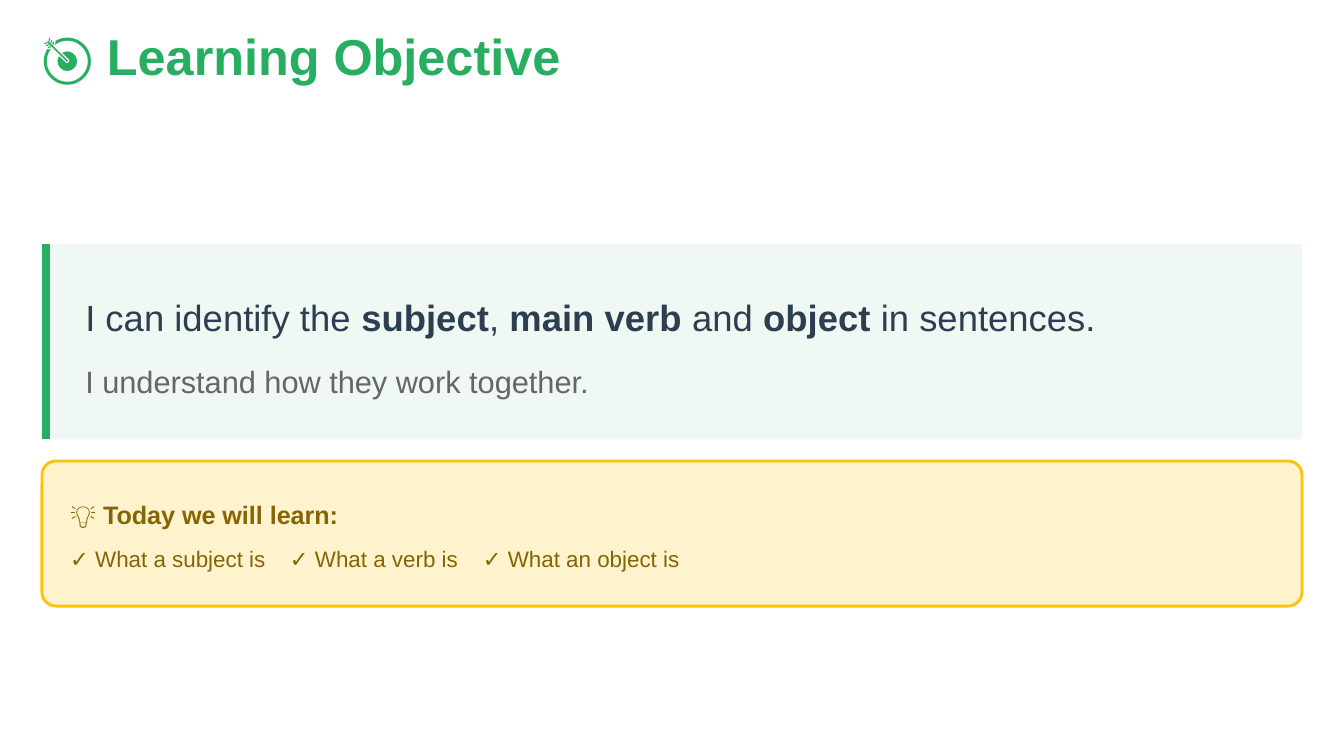
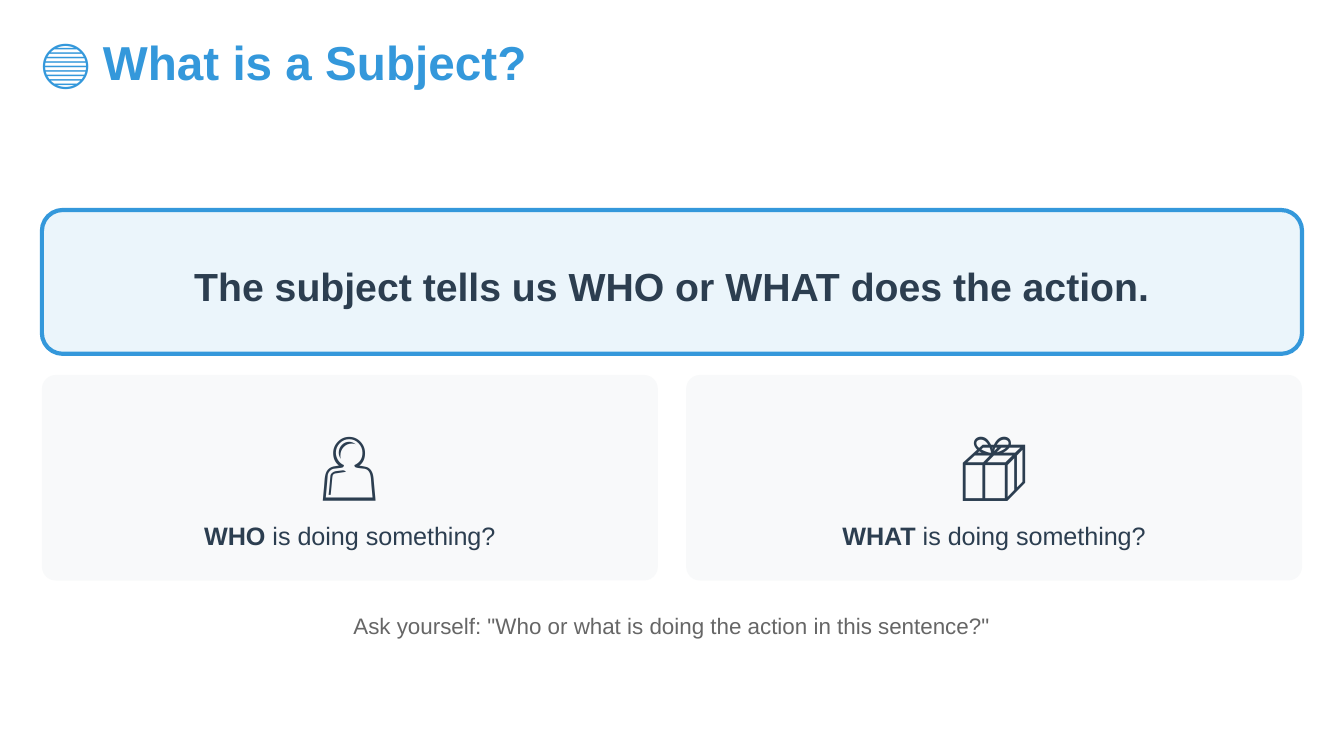
from dataclasses import dataclass

from lxml import etree
from pptx import Presentation
from pptx import util as u
from pptx.dml.color import RGBColor
from pptx.enum import shapes, text
from pptx.oxml.ns import qn

SLIDE_WIDTH = u.Inches(10)
SLIDE_HEIGHT = SLIDE_WIDTH * 9 // 16
COLUMNS = 100
UNIT = SLIDE_WIDTH / COLUMNS
MARGIN = 3.12
GUTTER = 2.1
CONTENT_WIDTH = COLUMNS - 2 * MARGIN
FONT = "Arial"
GREEN, BLUE, AMBER = "27AE60", "3498DB", "FFC107"
INK, GREY, BROWN = "2C3E50", "666666", "856404"
MINT, SKY, CREAM, MIST = "F0F8F4", "EBF5FB", "FFF3CD", "F8F9FA"
LEFT, CENTER = text.PP_ALIGN.LEFT, text.PP_ALIGN.CENTER


@dataclass
class Box:
    left: float
    top: float
    width: float
    height: float

    def inside(self, left, top, width, height):
        return Box(self.left + left, self.top + top, width, height)

    def inset(self, side, top, height):
        return self.inside(side, top, self.width - 2 * side, height)

    def emu(self):
        return [grid(value) for value in (self.left, self.top, self.width, self.height)]


def grid(value):
    return u.Emu(round(value * UNIT))


def color(value):
    return RGBColor.from_string(value)


def write(shape, words, size, ink, leading, before=3, after=3, align=LEFT, bold=False):
    frame = shape.text_frame
    frame.word_wrap = True
    frame.auto_size = text.MSO_AUTO_SIZE.NONE
    frame.vertical_anchor = text.MSO_ANCHOR.TOP
    frame.margin_left = frame.margin_top = frame.margin_right = frame.margin_bottom = 0
    paragraph = frame.paragraphs[0]
    paragraph.alignment = align
    paragraph.line_spacing = u.Pt(leading)
    paragraph.space_before, paragraph.space_after = u.Pt(before), u.Pt(after)
    paragraph.font.name = FONT
    paragraph.font.size = u.Pt(size)
    paragraph.font.color.rgb = color(ink)
    for index, part in enumerate(words.split("*")):
        if part:
            run = paragraph.add_run()
            run.text = part
            run.font.bold = bold or index % 2 == 1
    return paragraph


def add_text(slide, box, *args, **options):
    return write(slide.shapes.add_textbox(*box.emu()), *args, **options)


def add_title(slide, box, words, size, ink, after):
    title = slide.shapes.title
    title.left, title.top, title.width, title.height = box.emu()
    write(title, words, size, ink, size, before=0, after=after, bold=True)


def add_panel(slide, box, fill, radius=0, line=None, weight=0):
    kinds = shapes.MSO_SHAPE
    kind = kinds.ROUNDED_RECTANGLE if radius else kinds.RECTANGLE
    panel = slide.shapes.add_shape(kind, *box.emu())
    panel.shadow.inherit = False
    panel.fill.solid()
    panel.fill.fore_color.rgb = color(fill)
    if radius:
        panel.adjustments[0] = radius / box.height
    if line:
        panel.line.color.rgb = color(line)
        panel.line.width = u.Pt(weight)
    else:
        panel.line.fill.background()


def add_accent(slide, box, ink, weight):
    x = grid(box.left + 0.31)
    accent = slide.shapes.add_connector(
        shapes.MSO_CONNECTOR.STRAIGHT, x, grid(box.top), x, grid(box.top + box.height))
    accent.line.color.rgb = color(ink)
    accent.line.width = u.Pt(weight)
    etree.SubElement(accent.element.spPr, qn("a:effectLst"))


def add_tab_stops(paragraph, *stops):
    properties = paragraph.font._element.getparent()
    tabs = etree.Element(qn("a:tabLst"))
    for stop in stops:
        etree.SubElement(tabs, qn("a:tab"), pos=str(grid(stop)), algn="l")
    properties.find(qn("a:defRPr")).addprevious(tabs)


def add_objective(slide, box):
    add_panel(slide, box, MINT)
    add_accent(slide, box, GREEN, 4.5)
    width = box.width - 4.1
    add_text(slide, box.inside(3.23, 3, width, 4.1),
             "I can identify the *subject*, *main verb* and *object* in sentences.",
             19.5, INK, 29.2)
    add_text(slide, box.inside(3.23, 8.36, width, 3.2),
             "I understand how they work together.", 16.5, GREY, 23.1, before=9)


def add_lesson_goals(slide, box):
    add_panel(slide, box, CREAM, 1.05, AMBER, 1.5)
    width = box.width - 2.4
    add_text(slide, box.inside(2.1, 2.5, width, 2.6),
             "💡 Today we will learn:", 13.5, BROWN, 18.9, bold=True)
    goals = ["✓ What a subject is", "✓ What a verb is", "✓ What an object is"]
    paragraph = add_text(slide, box.inside(2.1, 5.95, width, 2.3),
                         "\t".join(goals), 12, BROWN, 16.8, before=6)
    add_tab_stops(paragraph, 16.35, 30.7)


def add_definition(slide, box):
    add_panel(slide, box, SKY, 1.55, BLUE, 2.25)
    add_text(slide, box.inset(2.05, 3.3, 4.1),
             "The subject tells us WHO or WHAT does the action.",
             21, INK, 29.4, align=CENTER, bold=True)


def add_question_card(slide, box, icon, question):
    add_panel(slide, box, MIST, 1.04)
    add_text(slide, box.inset(1.5, 2.3, 7.3), icon, 37.5, INK, 52.5,
             after=6, align=CENTER)
    add_text(slide, box.inset(1.5, 10.45, 2.6), question, 13.5, INK, 18.9, align=CENTER)


def build_objective_slide(slide):
    add_title(slide, Box(MARGIN, 2.6, 47.9, 3.8), "🎯 Learning Objective", 27, GREEN, 11.2)
    add_objective(slide, Box(MARGIN, 18.15, CONTENT_WIDTH, 14.55))
    add_lesson_goals(slide, Box(MARGIN, 34.3, CONTENT_WIDTH, 10.8))


def build_subject_slide(slide):
    add_title(slide, Box(MARGIN, 3.14, 47.9, 3.5), "🔵 What is a Subject?", 25.5, BLUE, 15)
    add_definition(slide, Box(MARGIN, 15.63, CONTENT_WIDTH, 10.7))
    cards = [("👤", "*WHO* is doing something?"), ("📦", "*WHAT* is doing something?")]
    width = (CONTENT_WIDTH - GUTTER) / len(cards)
    for index, (icon, question) in enumerate(cards):
        left = MARGIN + index * (width + GUTTER)
        add_question_card(slide, Box(left, 27.9, width, 15.3), icon, question)
    add_text(slide, Box(2.2, 45.2, 95.6, 2.3),
             'Ask yourself: "Who or what is doing the action in this sentence?"',
             12, GREY, 16.8, align=CENTER)


def main():
    presentation = Presentation()
    presentation.slide_width = SLIDE_WIDTH
    presentation.slide_height = SLIDE_HEIGHT
    title_only = presentation.slide_layouts[5]
    for build in (build_objective_slide, build_subject_slide):
        build(presentation.slides.add_slide(title_only))
    presentation.save("out.pptx")


if __name__ == "__main__":
    main()
